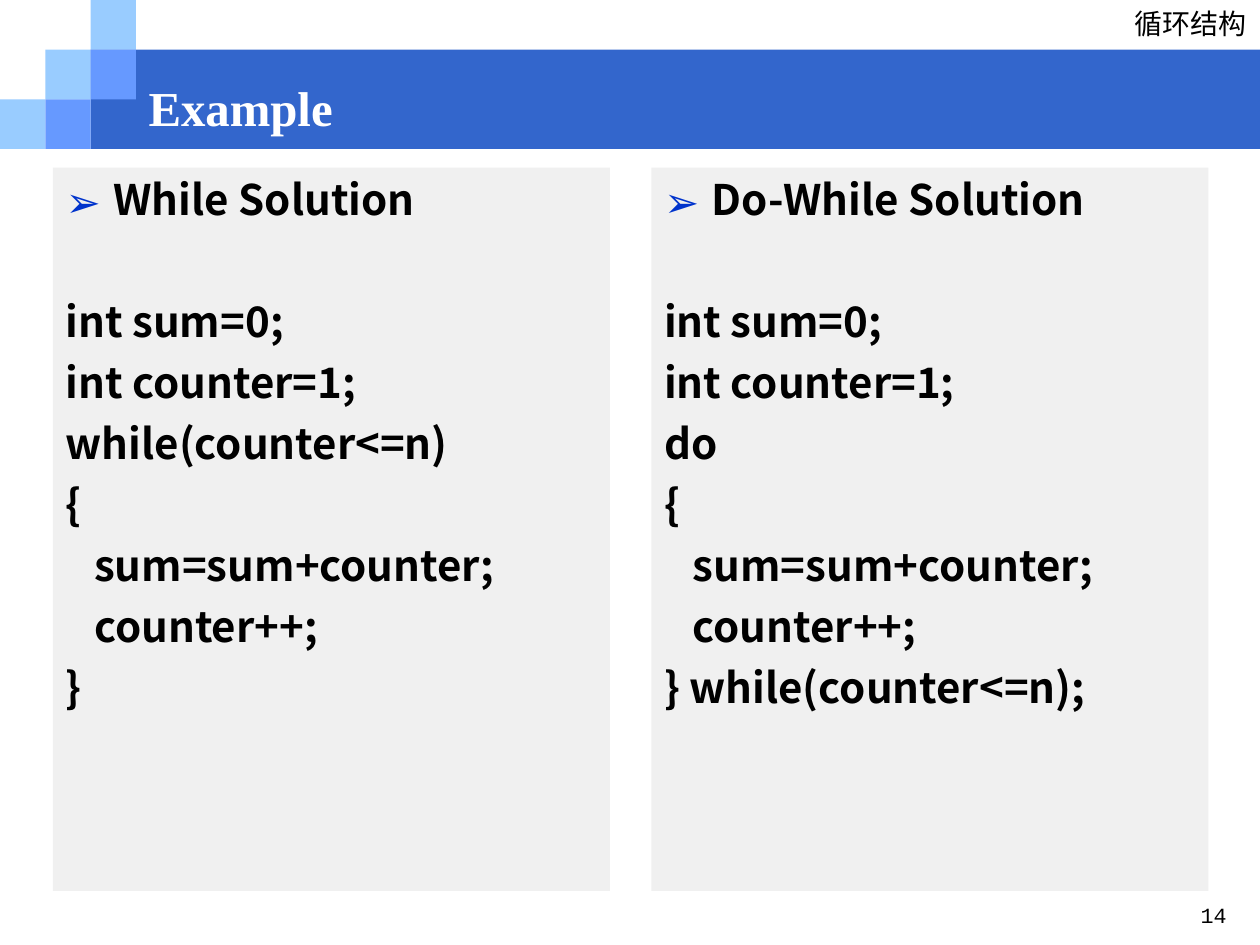
from lxml import etree
from pptx import Presentation
from pptx import util as u
from pptx.dml.color import RGBColor
from pptx.enum import shapes, text
from pptx.oxml import ns

BLUE = RGBColor(0x33, 0x66, 0xCC)
SKY = RGBColor(0x99, 0xCC, 0xFF)
MID = RGBColor(0x66, 0x99, 0xFF)
GREY = RGBColor(0xF0, 0xF0, 0xF0)
BLACK = RGBColor(0, 0, 0)
WHITE = RGBColor(255, 255, 255)
MARK = RGBColor(0x00, 0x33, 0xCC)
SANS = "Noto Sans CJK SC"

# The corner motif stands on a grid of these cells.
COL, ROW = 0.36, 0.394
GAP, LINE = 6, 34.8  # space before and pitch of the code lines, in points

START = ["int sum=0;", "int counter=1;"]
STEPS = ["{", "   sum=sum+counter;", "   counter++;"]
PANELS = [
    ("While Solution", START + ["while(counter<=n)"] + STEPS + ["}"]),
    ("Do-While Solution", START + ["do"] + STEPS + ["} while(counter<=n);"]),
]


def place(shape, left, top, width, height):
    shape.left, shape.top = u.Inches(left), u.Inches(top)
    shape.width, shape.height = u.Inches(width), u.Inches(height)


def add_block(slide, col, row, color, width=COL, height=ROW):
    """Draw a plain block whose corner lies on the motif grid."""
    block = slide.shapes.add_shape(
        shapes.MSO_SHAPE.RECTANGLE, u.Inches(col * COL), u.Inches(row * ROW),
        u.Inches(width), u.Inches(height))
    block.shadow.inherit = False
    block.fill.solid()
    block.fill.fore_color.rgb = color
    block.line.fill.background()


def add_mark(para, char=None):
    """Give the paragraph a hanging bullet, or none without a char."""
    props = para._p.get_or_add_pPr()
    indent = u.Inches(0.38) if char else 0
    props.set("marL", str(indent))
    props.set("indent", str(-indent))
    if not char:
        etree.SubElement(props, ns.qn("a:buNone"))
        return
    tint = etree.SubElement(props, ns.qn("a:buClr"))
    etree.SubElement(tint, ns.qn("a:srgbClr"), val=str(MARK))
    etree.SubElement(props, ns.qn("a:buFont"), typeface=SANS)
    etree.SubElement(props, ns.qn("a:buChar"), char=char)


def set_font(para, name, size, color, bold=False):
    font = para.font
    font.name, font.size, font.bold = name, u.Pt(size), bold
    font.color.rgb = color
    etree.SubElement(font._element, ns.qn("a:ea"), typeface=name)


def add_label(slide, words, box, name, size):
    label = slide.shapes.add_textbox(0, 0, 0, 0)
    place(label, *box)
    label.text_frame.word_wrap = True
    para = label.text_frame.paragraphs[0]
    para.text = words
    set_font(para, name, size, BLACK)
    return para


def fill_title(slide, words):
    title = slide.shapes.title
    place(title, 3 * COL, 0.6, 10 - 3 * COL, 0.58)
    frame = title.text_frame
    frame.auto_size = text.MSO_AUTO_SIZE.NONE
    frame.vertical_anchor = text.MSO_ANCHOR.MIDDLE
    para = frame.paragraphs[0]
    para.text = words
    para.alignment = text.PP_ALIGN.LEFT
    para.line_spacing = 0.8
    set_font(para, "Times New Roman", 27.9, WHITE, True)
    # Bring the title in front of the band.
    title._element.getparent().append(title._element)


def fill_panel(panel, col, head, code):
    place(panel, 0.42 + col * 4.75, 1.33, 4.42, 5.74)
    panel.fill.solid()
    panel.fill.fore_color.rgb = GREY
    frame = panel.text_frame
    frame.auto_size = text.MSO_AUTO_SIZE.NONE
    for i, words in enumerate([head] + code):
        para = frame.add_paragraph() if i else frame.paragraphs[0]
        para.text = words
        add_mark(para, None if i else "➢")
        # The code starts one line's height below the heading.
        para.space_before = u.Pt((0, GAP + LINE)[i] if i < 2 else GAP)
        set_font(para, SANS, 24, BLACK, True)


def main():
    deck = Presentation()
    deck.slide_width, deck.slide_height = u.Inches(10), u.Inches(7.5)
    slide = deck.slides.add_slide(deck.slide_layouts.get_by_name("Two Content"))

    add_block(slide, 2, 1, BLUE, 10 - 2 * COL, 2 * ROW)
    for col, row in [(0, 2), (1, 1), (2, 0)]:
        add_block(slide, col, row, SKY)
    for col, row in [(2, 1), (1, 2)]:
        add_block(slide, col, row, MID)

    topic = add_label(slide, "循环结构", (8.87, 0, 1.12, 0.37), SANS, 16)
    topic.alignment = text.PP_ALIGN.RIGHT
    fill_title(slide, "Example")
    bodies = [p for p in slide.placeholders if p.placeholder_format.idx]
    for col, (panel, (head, code)) in enumerate(zip(bodies, PANELS)):
        fill_panel(panel, col, head, code)
    page = add_label(slide, "14", (9.43, 7.15, 0.58, 0.35), "Courier New", 12.4)
    page.line_spacing = 0.8
    deck.save("out.pptx")


if __name__ == "__main__":
    main()
